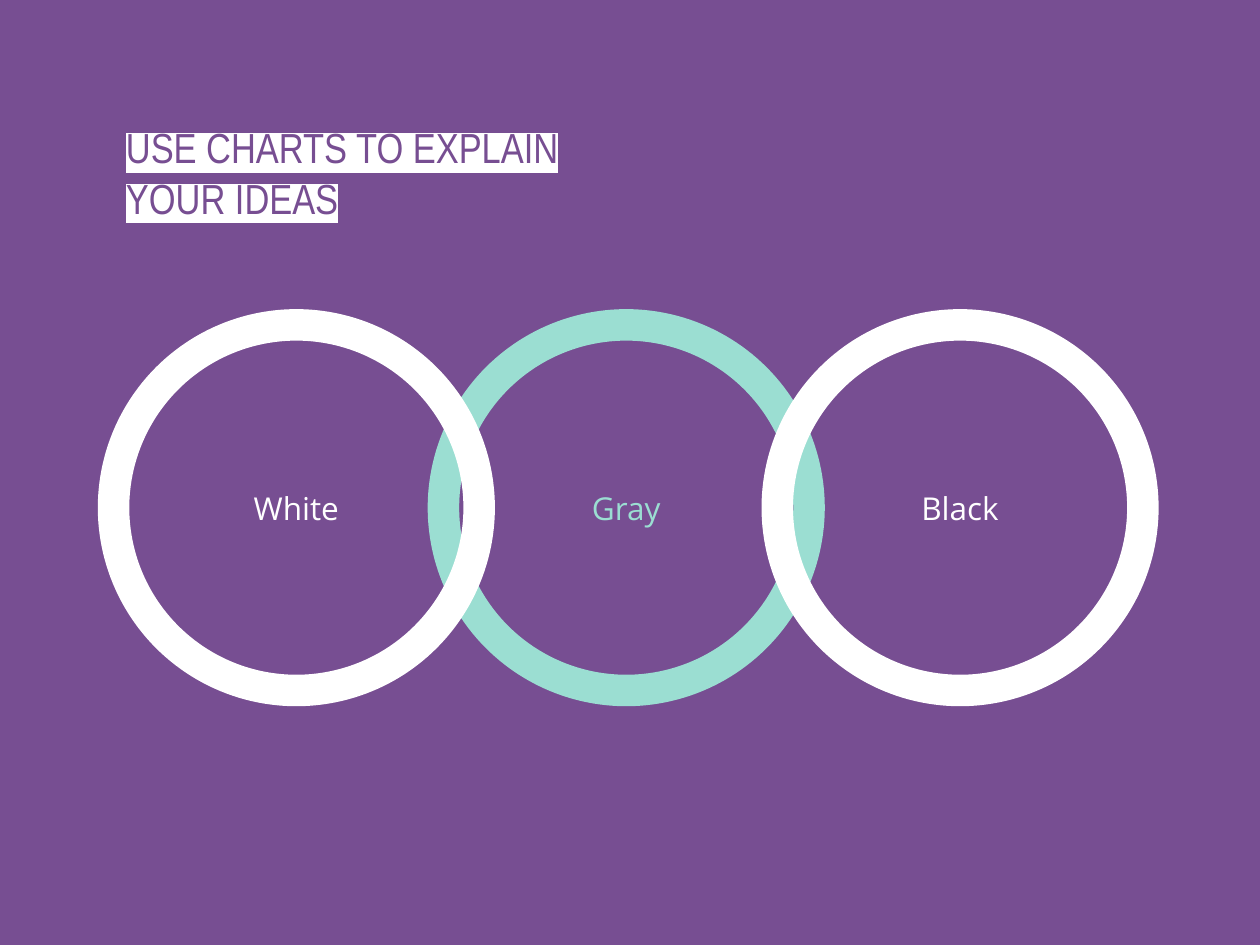
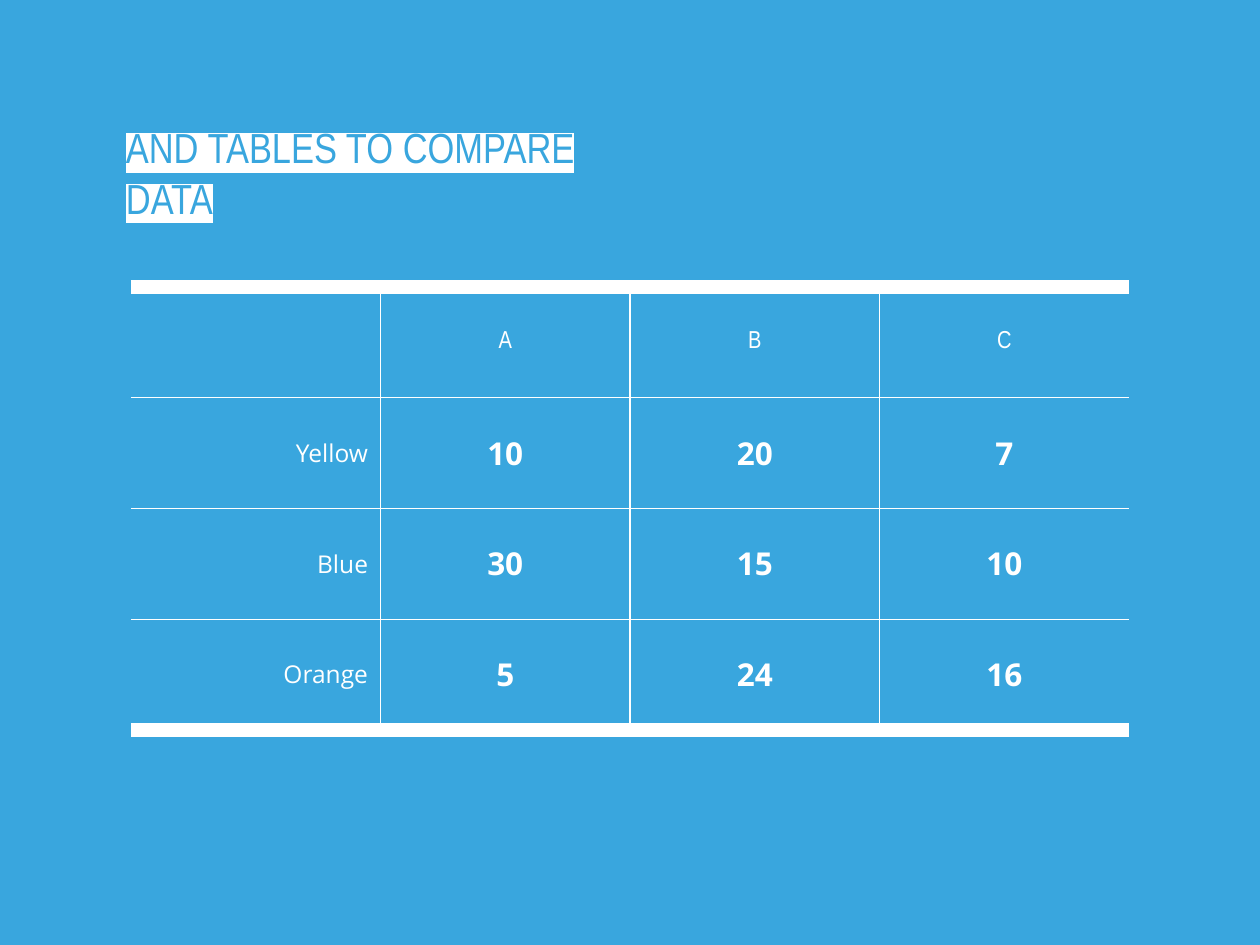
from lxml.etree import SubElement
from pptx import Presentation
from pptx.dml.color import RGBColor
from pptx.enum.shapes import MSO_SHAPE as Preset
from pptx.enum.text import MSO_ANCHOR as Anchor, PP_ALIGN as Align
from pptx.oxml.ns import qn
from pptx.util import Cm, Pt

PURPLE, BLUE, MINT, WHITE = "774E92", "39A6DE", "9BDED2", "FFFFFF"
HEADING_FONT, BODY_FONT = "Arial Narrow", "Open Sans"
INSET = Cm(0.25)
THIN, THICK = Pt(0.75), Pt(9)


def colour(value):
    """Turn a hex string into a colour."""
    return RGBColor.from_string(value)


def add_solid_fill(parent, value):
    """Append a solid fill element to an XML parent."""
    fill = SubElement(parent, qn("a:solidFill"))
    SubElement(fill, qn("a:srgbClr"), val=value)


def add_page(deck, background):
    """Add a blank slide with a plain background."""
    page = deck.slides.add_slide(deck.slide_layouts[6])
    page.background.fill.solid()
    page.background.fill.fore_color.rgb = colour(background)
    return page


def set_insets(holder):
    """Give a text frame or a table cell equal margins."""
    holder.margin_left = holder.margin_right = INSET
    holder.margin_top = holder.margin_bottom = INSET
    holder.vertical_anchor = Anchor.MIDDLE


def write(frame, text, font, size, value, align=Align.CENTER, bold=False):
    """Write one styled paragraph and return its span."""
    para = frame.paragraphs[0]
    para.alignment = align
    para.font.name = font
    para.font.size = Pt(size)
    para.font.bold = bold
    para.font.color.rgb = colour(value)
    span = para.add_run()
    span.text = text
    return span


def add_title(page, text, value):
    """Add a highlighted title in the slide's background colour."""
    box = page.shapes.add_textbox(Cm(2.29), Cm(2.18), Cm(11.4), Cm(2.59))
    frame = box.text_frame
    frame.word_wrap = True
    set_insets(frame)
    span = write(frame, text, HEADING_FONT, 24, value, Align.LEFT)
    frame.paragraphs[0].line_spacing = Pt(28.8)
    highlight = SubElement(span._r.get_or_add_rPr(), qn("a:highlight"))
    SubElement(highlight, qn("a:srgbClr"), val=WHITE)


def add_ring(page, label, left, value):
    """Add an unfilled circle with a thick outline and a centred label."""
    size = Cm(7.37)
    ring = page.shapes.add_shape(Preset.OVAL, Cm(left), Cm(6.55), size, size)
    ring.shadow.inherit = False
    ring.fill.background()
    ring.line.color.rgb = colour(value)
    ring.line.width = Pt(18)
    set_insets(ring.text_frame)
    write(ring.text_frame, label, BODY_FONT, 18, value)


def set_borders(cell, widths):
    """Draw left, right, top and bottom cell borders; zero hides one."""
    properties = cell._tc.get_or_add_tcPr()
    for side, width in zip("LRTB", widths):
        line = SubElement(properties, qn(f"a:ln{side}"), w=str(int(width)))
        if width:
            add_solid_fill(line, WHITE)
        else:
            SubElement(line, qn("a:noFill"))


def add_data_table(page, rows):
    """Add an open-sided table with heavy rules above and below."""
    row_count, column_count = len(rows), len(rows[0])
    table = page.shapes.add_table(
        row_count, column_count, Cm(2.64), Cm(5.79),
        Cm(5.03) * column_count, Cm(2.23) * row_count).table
    table.first_row = table.horz_banding = False
    for row, texts in enumerate(rows):
        for column, text in enumerate(texts):
            cell = table.cell(row, column)
            set_insets(cell)
            set_borders(cell, (
                THIN if column else 0,
                THIN if column < column_count - 1 else 0,
                THIN if row else THICK,
                THIN if row < row_count - 1 else THICK))
            cell.fill.background()
            if not text:
                continue
            if row == 0:
                write(cell.text_frame, text, HEADING_FONT, 14, WHITE)
            elif column == 0:
                write(cell.text_frame, text, BODY_FONT, 14, WHITE, Align.RIGHT)
            else:
                write(cell.text_frame, text, BODY_FONT, 18, WHITE, bold=True)


def main():
    """Build both slides and save the deck."""
    deck = Presentation()
    deck.slide_width, deck.slide_height = Cm(25.4), Cm(19.05)

    page = add_page(deck, PURPLE)
    add_title(page, "USE CHARTS TO EXPLAIN YOUR IDEAS", PURPLE)
    add_ring(page, "Gray", 8.94, MINT)
    add_ring(page, "White", 2.29, WHITE)
    add_ring(page, "Black", 15.67, WHITE)

    page = add_page(deck, BLUE)
    add_title(page, "AND TABLES TO COMPARE DATA", BLUE)
    add_data_table(page, [
        ("", "A", "B", "C"),
        ("Yellow", "10", "20", "7"),
        ("Blue", "30", "15", "10"),
        ("Orange", "5", "24", "16"),
    ])
    deck.save("out.pptx")


if __name__ == "__main__":
    main()
